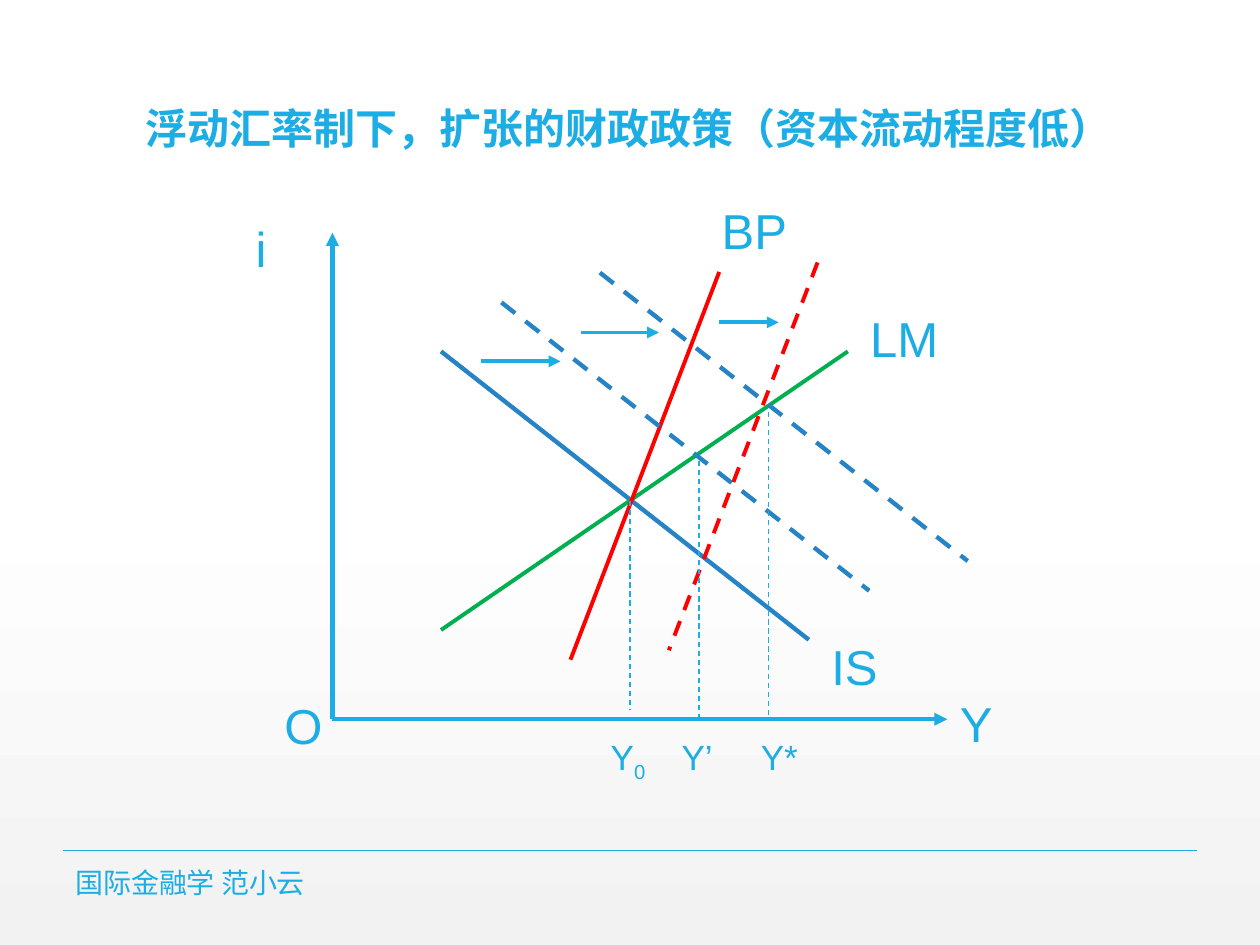
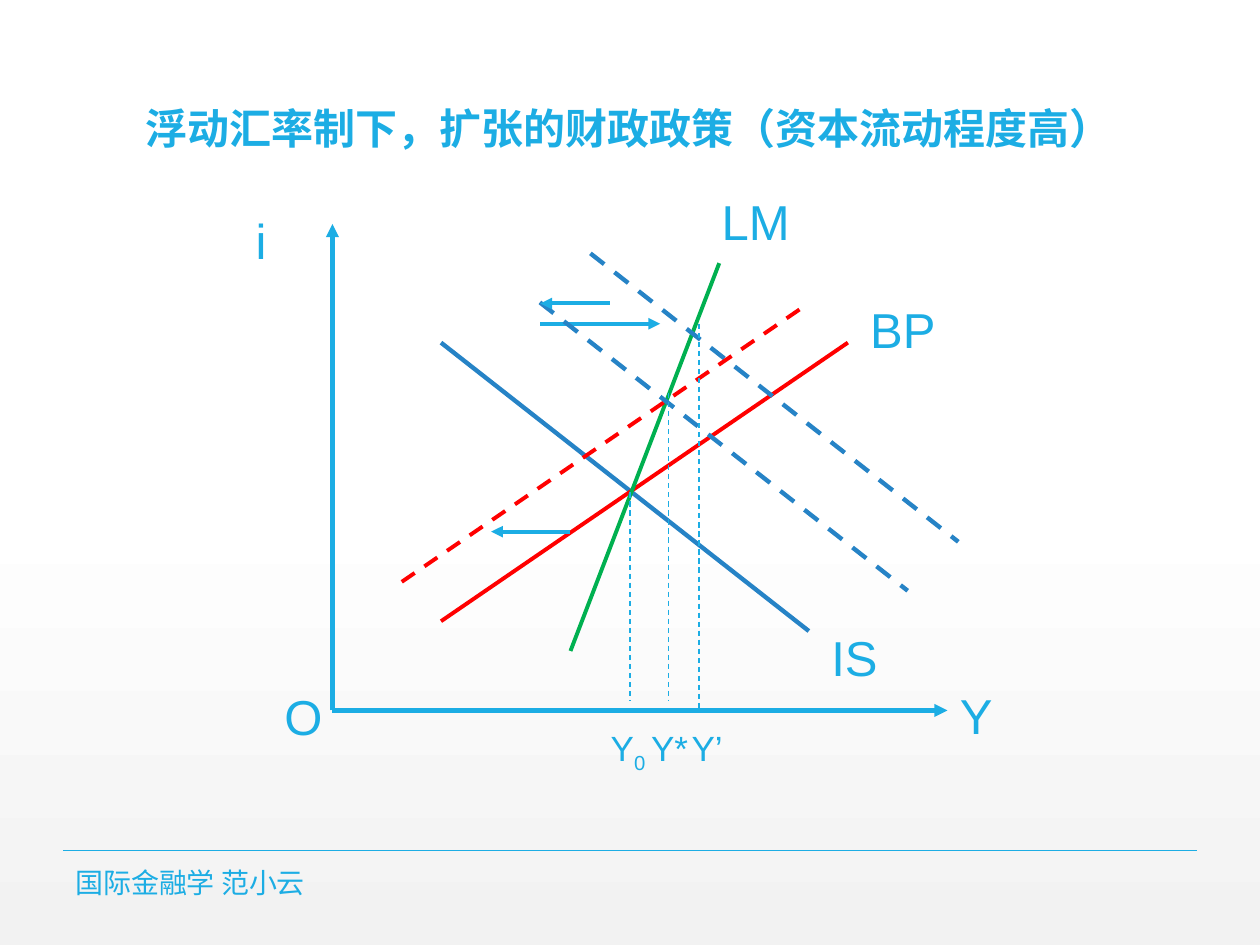
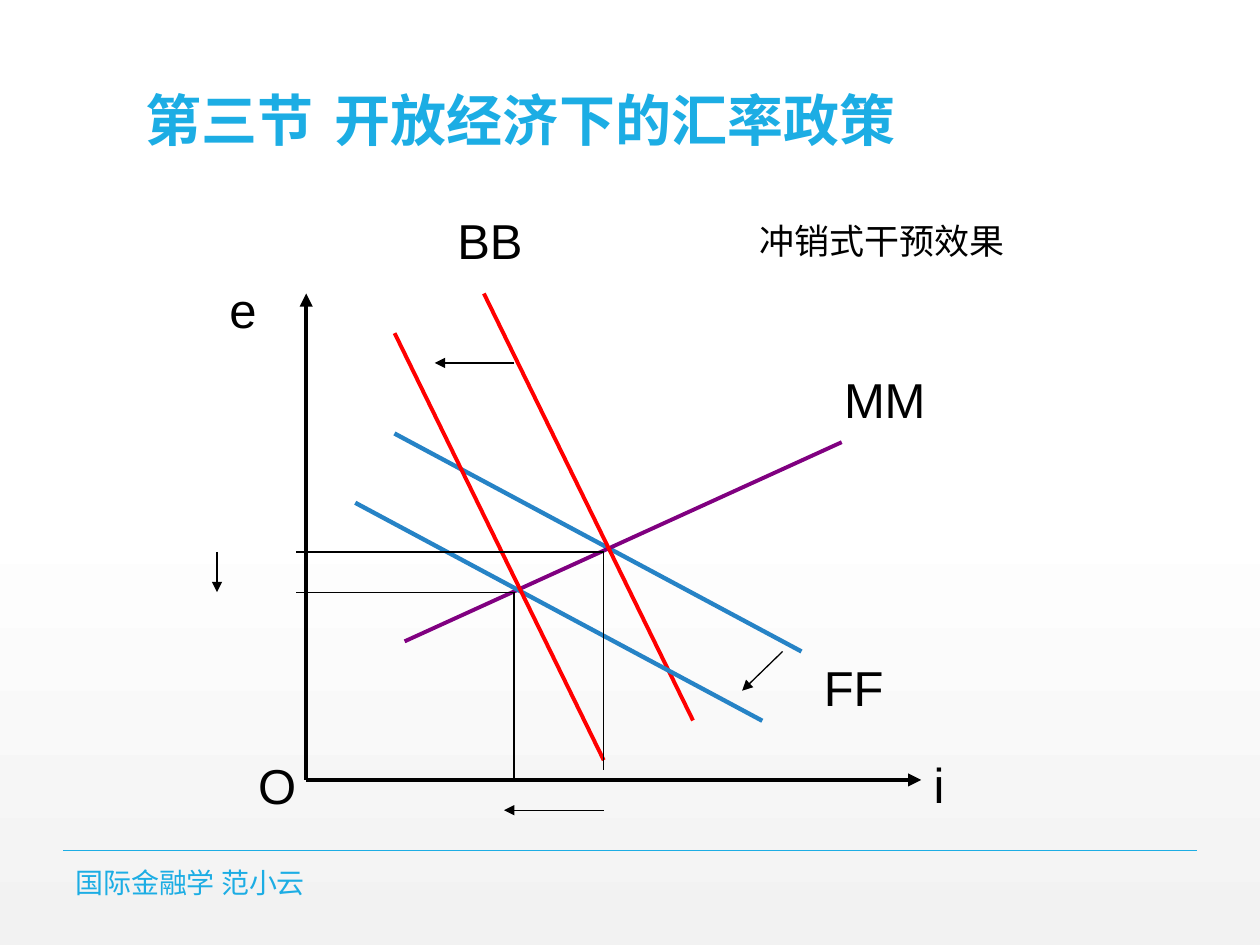
"""Build three slides of open-economy policy diagrams."""
import copy
from dataclasses import dataclass, replace
from typing import Any

import lxml.etree
import pptx
import pptx.dml.color
import pptx.enum.dml
import pptx.enum.shapes
import pptx.enum.text
import pptx.oxml.ns
import pptx.util

Pt = pptx.util.Pt
qn = pptx.oxml.ns.qn
Anchor = pptx.enum.text.MSO_ANCHOR
AutoSize = pptx.enum.text.MSO_AUTO_SIZE
Point = tuple[float, float]


@dataclass(frozen=True)
class Theme:
    accent: str = "1CADE4"
    blue: str = "2683C6"
    green: str = "00B050"
    red: str = "FF0000"
    purple: str = "800080"
    black: str = "000000"
    white: str = "FFFFFF"
    gray: str = "F2F2F2"
    latin: str = "Arial"
    asian: str = "Noto Sans CJK SC"
    title: float = 24
    section: float = 32
    label: float = 28
    note: float = 20
    footer: float = 16
    thick: float = 2.5
    medium: float = 2.25
    thin: float = 0.75


THEME = Theme()


@dataclass(frozen=True)
class Stroke:
    start: Point
    end: Point
    color: str
    width: float = THEME.medium
    dashed: bool = False
    arrow: bool = False


@dataclass(frozen=True)
class Label:
    text: str
    corner: Point
    width: float = 57
    size: float = THEME.label
    indent: float = 0
    subscript: str = ""


@dataclass(frozen=True)
class Diagram:
    title: str
    title_size: float
    origin: Point
    ink: str
    axis_names: tuple[str, str]
    strokes: list[Stroke]
    labels: list[Label]


def shifted(curve: Stroke, right: float, up: float, dashed: bool = True) -> Stroke:
    """Return the curve after a parallel shift."""
    start, end = ((x + right, y + up) for x, y in (curve.start, curve.end))
    return replace(curve, start=start, end=end, dashed=dashed)


def arrow(start: Point, end: Point, color: str = THEME.accent, width: float = THEME.medium) -> Stroke:
    """Return a stroke with an arrowhead at its end."""
    return Stroke(start, end, color, width, arrow=True)


def drop(x: float, top: float, bottom: float = 0) -> Stroke:
    """Return a thin dashed line falling towards the horizontal axis."""
    return Stroke((x, top), (x, bottom), THEME.accent, THEME.thin, dashed=True)


def guide(start: Point, end: Point) -> Stroke:
    """Return a thin black guide line."""
    return Stroke(start, end, THEME.black, THEME.thin)


def apply(target: Any, formats: dict[str, Any]) -> None:
    """Set every format value on the target."""
    for name, value in formats.items():
        setattr(target, name, value)


def rgb(color: str) -> pptx.dml.color.RGBColor:
    """Return the colour for a hex value."""
    return pptx.dml.color.RGBColor.from_string(color)


def add_span(para: Any, text: str, size: float, color: str, latin: str = THEME.latin, bold: bool = False) -> Any:
    """Add a formatted run and return its properties element."""
    span = para.add_run()
    span.text = text
    apply(span.font, {"size": Pt(size), "name": latin, "bold": bold})
    span.font.color.rgb = rgb(color)
    properties = span._r.get_or_add_rPr()
    lxml.etree.SubElement(properties, qn("a:ea"), typeface=THEME.asian)
    return properties


def add_box(page: Any, left: float, top: float, width: float, height: float, formats: dict[str, Any]) -> Any:
    """Add a wrapping text box and return its first paragraph."""
    box = page.shapes.add_textbox(Pt(left), Pt(top), Pt(width), Pt(height))
    apply(box.text_frame, {"word_wrap": True, **formats})
    return box.text_frame.paragraphs[0]


def draw_stroke(page: Any, stroke: Stroke, origin: Point = (0, 0)) -> None:
    """Draw a stroke measured rightwards and upwards from the origin."""
    ends = [Pt(value) for x, y in (stroke.start, stroke.end) for value in (origin[0] + x, origin[1] - y)]
    connector = page.shapes.add_connector(pptx.enum.shapes.MSO_CONNECTOR.STRAIGHT, *ends)
    line = connector.line
    line.color.rgb = rgb(stroke.color)
    line.width = Pt(stroke.width)
    if stroke.dashed:
        line.dash_style = pptx.enum.dml.MSO_LINE.DASH
    properties = connector._element.spPr
    if stroke.arrow:
        lxml.etree.SubElement(properties.find(qn("a:ln")), qn("a:tailEnd"), type="triangle")
    lxml.etree.SubElement(properties, qn("a:effectLst"))


def draw_label(page: Any, label: Label, origin: Point, color: str) -> None:
    """Draw a label whose corner is measured from the origin."""
    height = 41 if label.size == THEME.label else 31
    formats = {"auto_size": AutoSize.SHAPE_TO_FIT_TEXT, "margin_left": Pt(7.2 + label.indent)}
    x, y = label.corner
    para = add_box(page, origin[0] + x, origin[1] - y, label.width, height, formats)
    before = lxml.etree.SubElement(para._p.get_or_add_pPr(), qn("a:spcBef"))
    lxml.etree.SubElement(before, qn("a:spcPct"), val="50000")
    add_span(para, label.text, label.size, color)
    if label.subscript:
        add_span(para, label.subscript, label.size, color).set("baseline", "-25000")


def draw_frame(page: Any, diagram: Diagram) -> None:
    """Draw the title, footer rule and footer."""
    draw_stroke(page, Stroke((36, -486), (684, -486), THEME.accent, 1))
    title = add_box(page, 76.3, 1.5, 567.4, 90, {"vertical_anchor": Anchor.BOTTOM})
    title.line_spacing = 0.9
    add_span(title, diagram.title, diagram.title_size, THEME.accent, bold=True)
    footer = add_box(page, 36, 495.4, 362, 17.3, {"vertical_anchor": Anchor.MIDDLE})
    add_span(footer, "国际金融学 范小云", THEME.footer, THEME.accent, THEME.asian)


def draw_diagram(page: Any, diagram: Diagram) -> None:
    """Draw the axes, their names, the strokes and the labels."""
    axes = [arrow((0, 0), tip, diagram.ink, THEME.thick) for tip in ((0, 278), (351.4, 0))]
    vertical, horizontal = diagram.axis_names
    names = [
        Label(vertical, (-51, 289.4), 39.6),
        Label(horizontal, (351.4, 18), 39.6),
        Label("O", (-34.6, 17.3), 39.6),
    ]
    for stroke in axes + diagram.strokes:
        draw_stroke(page, stroke, diagram.origin)
    for label in names + diagram.labels:
        draw_label(page, label, diagram.origin, diagram.ink)


def fiscal_diagram(
    mobility: str, origin_y: float, flat: str, steep: str, strokes: list[Stroke], final: Point, interim: Point
) -> Diagram:
    """Return a fiscal policy diagram with its named flat and steep curves."""
    labels = [
        Label(flat, (300.2, 238.3)),
        Label(steep, (215.3, 300.2)),
        Label("IS", (278, 51), 51),
        Label("Y", (107.3, -5.8), 90.7, THEME.note, 44.5, "0"),
        Label("Y’", interim, 57, THEME.note, 22.25),
        Label("Y*", final, 62.6, THEME.note, 22.25),
    ]
    title = f"浮动汇率制下，扩张的财政政策（资本流动程度{mobility}）"
    base = [IS, replace(FLAT, color=CURVE_COLORS[flat]), replace(STEEP, color=CURVE_COLORS[steep]), drop(170, 124.6, 5.8)]
    return Diagram(title, THEME.title, (190, origin_y), THEME.accent, ("i", "Y"), base + strokes, labels)


CURVE_COLORS = {"LM": THEME.green, "BP": THEME.red}
IS = Stroke((62, 210.2), (272.2, 45.4), THEME.blue, THEME.thick)
FLAT = Stroke((62, 51), (294.5, 210.2), THEME.red)
STEEP = Stroke((221, 255.6), (136, 34), THEME.red)
FF = Stroke((50.4, 198), (283, 73.4), THEME.blue, THEME.thick)
MM = Stroke((56.2, 79.2), (306, 193), THEME.purple)
BB = Stroke((101.5, 278), (221, 34), THEME.red)

LOW_MOBILITY = fiscal_diagram(
    "低", 411, "LM", "BP",
    [
        shifted(IS, 34.5, 28),
        arrow((85, 204.5), (130.3, 204.5)),
        shifted(STEEP, 56.2, 5.4),
        arrow((221, 226.8), (254.9, 226.8)),
        shifted(IS, 90.8, 45),
        arrow((141.8, 221), (186.5, 221)),
        drop(249.1, 175.7),
        drop(209.5, 147.6),
    ],
    final=(215.3, -5.8), interim=(170, -5.8),
)
HIGH_MOBILITY = fiscal_diagram(
    "高", 406, "BP", "LM",
    [
        shifted(IS, 85.4, 51),
        arrow((118.8, 221), (187.2, 221)),
        shifted(FLAT, -22.4, 22.5),
        arrow((136, 102.2), (90.7, 102.2)),
        shifted(IS, 56.5, 23),
        arrow((158.4, 232.6), (118.8, 232.6)),
        drop(192.2, 181.4, 5.8),
        drop(209.5, 221),
    ],
    final=(152.6, -5.8), interim=(175.7, -5.8),
)
STERILIZED = Diagram(
    "第三节\t开放经济下的汇率政策", THEME.section, (175, 445.7), THEME.black, ("e", "i"),
    [
        FF, MM, BB,
        shifted(FF, -22.4, -39.6, dashed=False),
        shifted(BB, -51, -22.7, dashed=False),
        guide((170, 130.3), (-5.8, 130.3)),
        guide((118.8, 107.3), (-5.8, 107.3)),
        guide((118.8, 107.3), (118.8, 0)),
        guide((170, 130.3), (170, 5.8)),
        *(
            arrow(start, end, THEME.black, THEME.thin)
            for start, end in (
                ((272.2, 73.4), (249.1, 51)),
                ((118.8, 238.3), (73.4, 238.3)),
                ((-51, 130.3), (-51, 107.3)),
                ((170, -17.3), (113, -17.3)),
            )
        ),
    ],
    [
        Label("冲销式干预效果", (252, 324), 184.3, THEME.note),
        Label("MM", (300.2, 238.3), 73.4),
        Label("BB", (79.2, 329), 57),
        Label("FF", (288.7, 73.4), 51),
    ],
)


def paint_background(deck: Any) -> None:
    """Give the master a vertical gradient from white to gray."""
    fill = deck.slide_master.background.fill
    fill.gradient()
    fill.gradient_angle = 270
    first = fill.gradient_stops[0]._gs
    first.addnext(copy.deepcopy(first))
    stops = ((0, THEME.white), (0.53, THEME.white), (1, THEME.gray))
    for stop, (position, color) in zip(fill.gradient_stops, stops):
        stop.position = position
        stop.color.rgb = rgb(color)


def main() -> None:
    """Build and save the deck."""
    deck = pptx.Presentation()
    apply(deck, {"slide_width": Pt(720), "slide_height": Pt(540)})
    paint_background(deck)
    for diagram in (LOW_MOBILITY, HIGH_MOBILITY, STERILIZED):
        page = deck.slides.add_slide(deck.slide_layouts[6])
        draw_frame(page, diagram)
        draw_diagram(page, diagram)
    deck.save("out.pptx")


if __name__ == "__main__":
    main()
